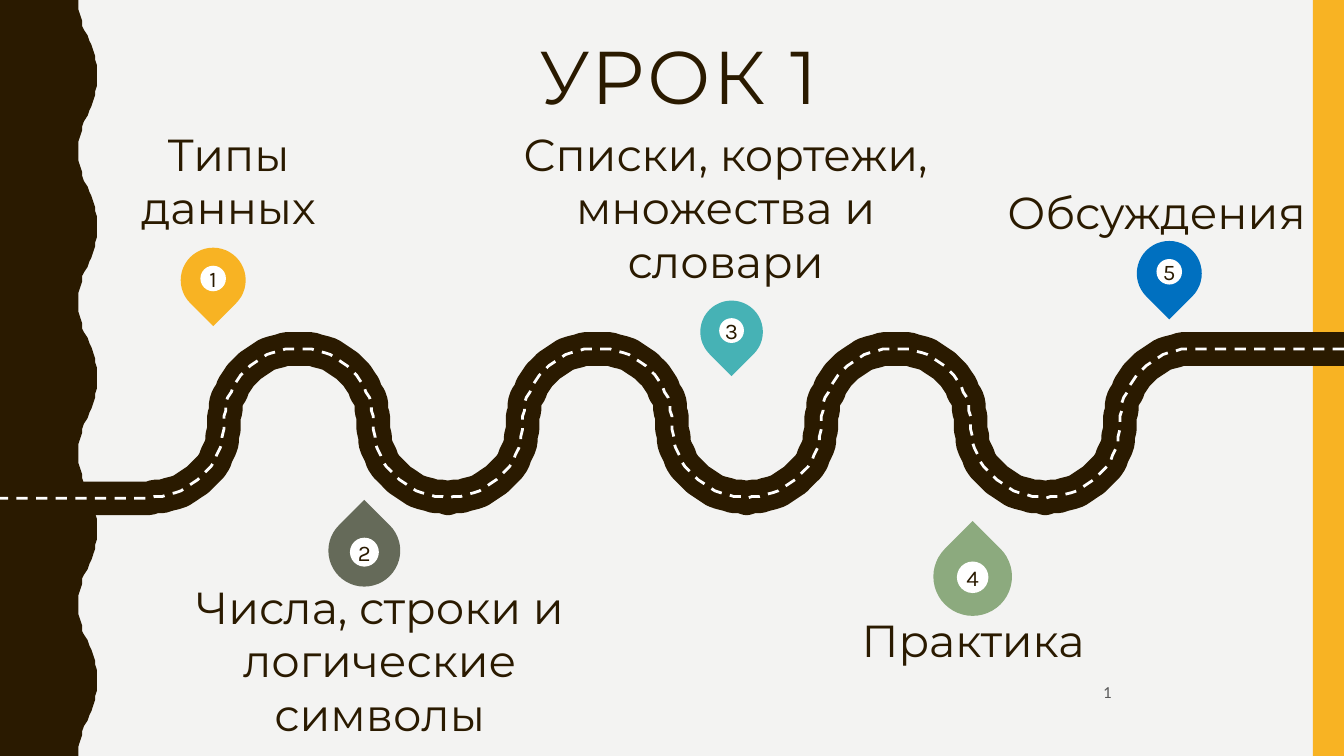
from dataclasses import dataclass
from math import cos, pi, sin

from pptx import Presentation
from pptx.dml.color import RGBColor
from pptx.enum.dml import MSO_LINE
from pptx.enum.shapes import MSO_SHAPE
from pptx.enum.text import MSO_ANCHOR, MSO_AUTO_SIZE, PP_ALIGN
from pptx.util import Pt

TOP, MIDDLE, BOTTOM = MSO_ANCHOR.TOP, MSO_ANCHOR.MIDDLE, MSO_ANCHOR.BOTTOM
CENTER, RIGHT = PP_ALIGN.CENTER, PP_ALIGN.RIGHT
TEARDROP, OVAL, RECTANGLE = MSO_SHAPE.TEAR, MSO_SHAPE.OVAL, MSO_SHAPE.RECTANGLE

PAPER = RGBColor(0xF3, 0xF3, 0xF2)
BROWN = RGBColor(0x2A, 0x1A, 0x00)
YELLOW = RGBColor(0xF8, 0xB3, 0x23)
TEAL = RGBColor(0x46, 0xB2, 0xB5)
GREEN = RGBColor(0x8C, 0xAA, 0x7E)
OLIVE = RGBColor(0x65, 0x6A, 0x59)
BLUE = RGBColor(0x00, 0x70, 0xC0)
GREY = RGBColor(0x59, 0x59, 0x59)
WHITE = RGBColor(0xFF, 0xFF, 0xFF)

WIDTH, HEIGHT = 720, 405
WAVE_COUNT, WAVE_MIDDLE, WAVE_DEPTH = 5, 47.1, 5.3
ROAD_MIDDLE, ROAD_RADIUS, ROAD_BENDS = 226.6, 40, 8


@dataclass
class Box:
    left: float
    top: float
    width: float
    height: float


@dataclass
class Stop:
    number: int
    center_x: float
    center_y: float
    size: float
    dot_size: float
    dot_shift: float
    color: RGBColor
    points_down: bool
    label: str
    label_box: Box


STOPS = [
    Stop(1, 114.2, 150.1, 34.8, 13.7, -0.9, YELLOW, True,
         "Типы данных", Box(49, 99.4, 146.9, 25.9)),
    Stop(2, 195.2, 295, 38.5, 15.5, 0.8, OLIVE, False,
         "Числа, строки и логические символы", Box(86.4, 310.3, 234, 41.8)),
    Stop(3, 391.9, 177.8, 33.5, 13.3, -0.7, TEAL, True,
         "Списки, кортежи, множества и словари", Box(275, 112.3, 227.5, 41.8)),
    Stop(4, 521.1, 308.9, 42.1, 16.9, 0.4, GREEN, False,
         "Практика", Box(427.7, 328.3, 187.2, 41.8)),
    Stop(5, 626.4, 146.5, 34.8, 13.7, -0.9, BLUE, True,
         "Обсуждения", Box(532.1, 85.7, 175, 41.8)),
]


def write(shape, text: str, size: float, font: str, color: RGBColor,
          anchor=TOP, align=CENTER, inset: float = 0):
    frame = shape.text_frame
    frame.word_wrap = True
    frame.auto_size = MSO_AUTO_SIZE.NONE
    frame.vertical_anchor = anchor
    frame.margin_left = frame.margin_right = Pt(inset)
    frame.margin_top = frame.margin_bottom = Pt(inset)
    para = frame.paragraphs[0]
    para.text = text
    para.alignment = align
    para.font.size = Pt(size)
    para.font.name = font
    para.font.color.rgb = color
    return para


def place(shape, box: Box) -> None:
    shape.left, shape.top = Pt(box.left), Pt(box.top)
    shape.width, shape.height = Pt(box.width), Pt(box.height)


def add_text(shapes, box: Box, *args, **options) -> None:
    shape = shapes.add_textbox(0, 0, 0, 0)
    place(shape, box)
    write(shape, *args, **options)


def add_filled(shapes, kind, box: Box, color: RGBColor):
    shape = shapes.add_shape(kind, 0, 0, 0, 0)
    place(shape, box)
    shape.shadow.inherit = False
    shape.fill.solid()
    shape.fill.fore_color.rgb = color
    shape.line.fill.background()
    return shape


def add_outline(shapes, points: list[tuple[float, float]], close: bool):
    builder = shapes.build_freeform(*points[0], scale=Pt(1))
    builder.add_line_segments(points[1:], close=close)
    shape = builder.convert_to_shape()
    shape.shadow.inherit = False
    return shape


def add_wavy_edge(shapes) -> None:
    steps = 30 * WAVE_COUNT
    edge = [(WAVE_MIDDLE - WAVE_DEPTH * cos(2 * pi * WAVE_COUNT * i / steps),
             HEIGHT * i / steps) for i in range(steps + 1)]
    shape = add_outline(shapes, [(0, 0), *edge, (0, HEIGHT)], True)
    shape.fill.solid()
    shape.fill.fore_color.rgb = BROWN
    shape.line.fill.background()


def road_points() -> list[tuple[float, float]]:
    """Half circles that turn down and up in turn, with straight ends."""
    points = [(WIDTH, ROAD_MIDDLE - ROAD_RADIUS)]
    for bend in range(ROAD_BENDS, 0, -1):
        side = -1 if bend % 2 == 0 else 1
        first = 90 if bend == ROAD_BENDS else 0
        last = 90 if bend == 1 else 180
        for degrees in range(first, last + 1, 5):
            angle = degrees * pi / 180
            points.append((2 * ROAD_RADIUS * bend + ROAD_RADIUS * cos(angle),
                           ROAD_MIDDLE + side * ROAD_RADIUS * sin(angle)))
    return points + [(0, ROAD_MIDDLE + ROAD_RADIUS)]


def add_road_line(shapes, color: RGBColor, width: float):
    road = add_outline(shapes, road_points(), False)
    road.fill.background()
    road.line.color.rgb = color
    road.line.width = Pt(width)
    return road


def centered(x: float, y: float, size: float) -> Box:
    return Box(x - size / 2, y - size / 2, size, size)


def add_stop(shapes, stop: Stop) -> None:
    pin = shapes.add_group_shape().shapes
    drop = add_filled(pin, TEARDROP, centered(stop.center_x, stop.center_y, stop.size),
                      stop.color)
    drop.rotation = 135 if stop.points_down else 315
    dot = add_filled(pin, OVAL, centered(stop.center_x, stop.center_y + stop.dot_shift,
                                         stop.dot_size), WHITE)
    write(dot, str(stop.number), 12, "Karla", BROWN, anchor=MIDDLE)
    add_text(shapes, stop.label_box, stop.label, 24, "Montserrat", BROWN,
             anchor=BOTTOM if stop.points_down else TOP)


def main() -> None:
    deck = Presentation()
    deck.slide_width, deck.slide_height = Pt(WIDTH), Pt(HEIGHT)
    page = deck.slides.add_slide(deck.slide_layouts[5])
    page.background.fill.solid()
    page.background.fill.fore_color.rgb = PAPER
    shapes = page.shapes

    # Side decoration
    add_wavy_edge(shapes)
    add_filled(shapes, RECTANGLE, Box(703.4, 0, 16.6, HEIGHT), YELLOW)

    # Title and page number
    place(shapes.title, Box(65.5, 16.6, 596.2, 55.4))
    para = write(shapes.title, "УРОК 1", 40, "Montserrat", BROWN,
                 anchor=BOTTOM, inset=7.2)
    para.line_spacing = 0.9
    para.runs[0].font._element.set("spc", "150")
    add_text(shapes, Box(562.3, 357.8, 40.3, 21.6), "1", 9, "Calibri", GREY,
             align=RIGHT, inset=7.2)

    # Road with its dashed centre line
    add_road_line(shapes, BROWN, 18)
    add_road_line(shapes, WHITE, 1.5).line.dash_style = MSO_LINE.DASH

    # Lesson stops
    for stop in STOPS:
        add_stop(shapes, stop)

    deck.save("out.pptx")


if __name__ == "__main__":
    main()
